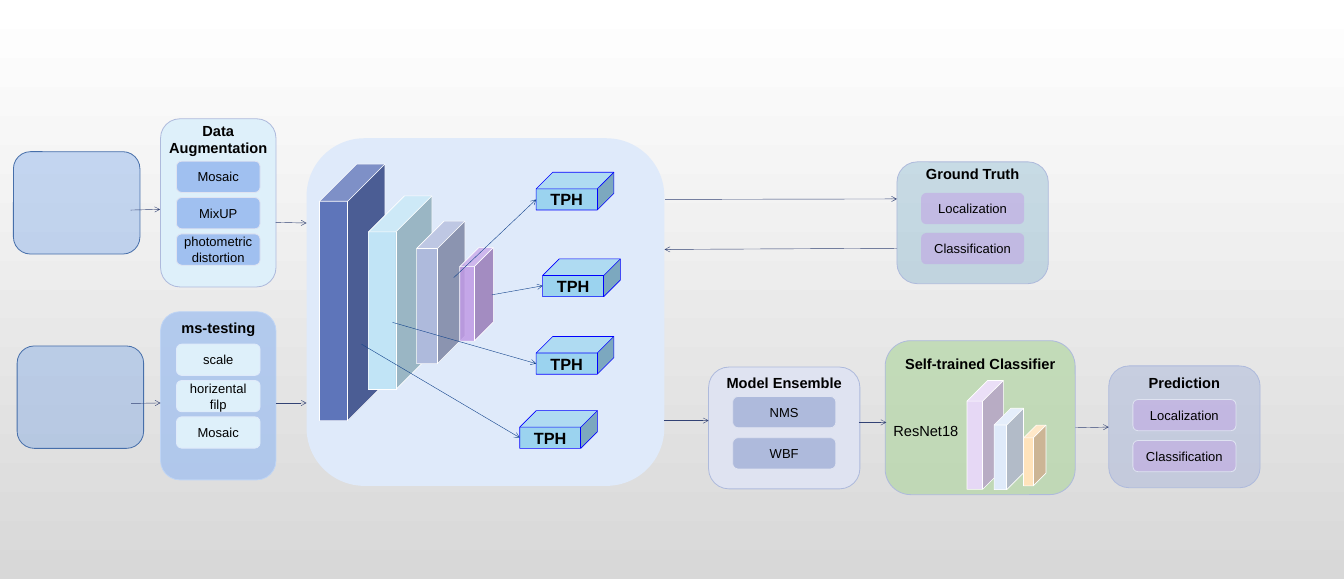
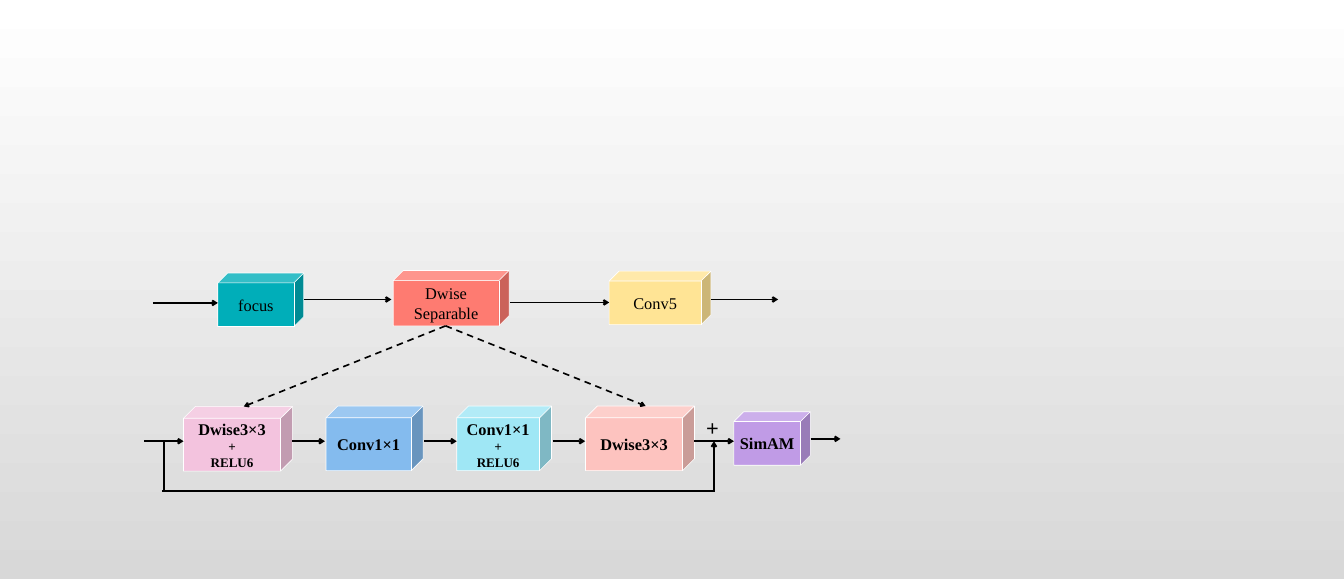
import pptx
import pptx.util
import pptx.dml.color
import pptx.enum.dml
import pptx.enum.shapes
import pptx.enum.text
import pptx.oxml.ns
from lxml import etree

Cm, Pt = pptx.util.Cm, pptx.util.Pt
SHAPE = pptx.enum.shapes.MSO_SHAPE
ANCHOR = pptx.enum.text.MSO_ANCHOR
ALIGN = pptx.enum.text.PP_ALIGN
qn = pptx.oxml.ns.qn

COLORS = {
    "white": "FFFFFF", "grey": "D8D8D8", "black": "000000",
    "input": "6096E6", "input_edge": "476FAA", "ice": "DEF0FA",
    "sky": "A0C0F0", "sky_edge": "BFD5F5", "edge": "AEBADC",
    "mist": "DFE3F1", "pale": "DFEAFA", "petrol": "046DA3",
    "green": "B6D7A8", "purple": "C09BE6", "lilac": "E6D8F5",
    "peach": "FFE3BB", "indigo": "5E75BA", "aqua": "C1E4F6",
    "tph": "9BD3EF", "tph_edge": "0000FF", "navy": "324274",
    "blue": "16468D", "teal": "00AEB9", "yellow": "FFE495",
    "rose": "FDC3BF", "cyan": "9FE7F5", "azure": "84BBEE",
    "coral": "FE7B71", "pink": "F3C3DE",
}

# Boxes are left, top, width, height in centimetres.
INPUTS = [((0.74, 14.94, 5.46, 4.42), 32), ((0.58, 6.55, 5.46, 4.42), 33)]
CHIP_H = 1.35
STEP_CHIPS = dict(first=1.83, pitch=1.57, width=3.61)
PANELS = [
    dict(box=(6.93, 5.13, 4.98, 7.26), shape=SHAPE.FLOWCHART_ALTERNATE_PROCESS,
         fill="ice", edge="edge", title=["Data", "Augmentation"], title_dy=0,
         chips=["Mosaic", "MixUP", "photometric distortion"],
         chip_fill="sky", chip_edge="mist", **STEP_CHIPS),
    dict(box=(6.93, 13.46, 4.98, 7.26), shape=SHAPE.FLOWCHART_ALTERNATE_PROCESS,
         fill="sky", alpha=74, edge="sky_edge", title=["ms-testing"], title_dy=0.2,
         chips=["scale", "horizental filp", "Mosaic"],
         chip_fill="ice", chip_edge="pale", **{**STEP_CHIPS, "first": 1.4}),
    dict(box=(38.71, 6.99, 6.53, 5.26), fill="petrol", alpha=19,
         title=["Ground Truth"], title_dy=0,
         chips=["Localization", "Classification"], first=1.34, pitch=1.73,
         chip_fill="purple", chip_alpha=48, chip_edge=None),
    dict(box=(30.58, 15.85, 6.53, 5.26), fill="mist",
         title=["Model Ensemble"], title_dy=0.18,
         chips=["NMS", "WBF"], first=1.27, pitch=1.78, chip_fill="edge"),
    dict(box=(38.2, 14.71, 8.2, 6.65), fill="green", alpha=73,
         title=["Self-trained Classifier"], title_dy=0.5, chips=[]),
    dict(box=(47.85, 15.8, 6.53, 5.26), fill="edge", alpha=54,
         title=["Prediction"], title_dy=0.23,
         chips=["Localization", "Classification"], first=1.45, pitch=1.77,
         chip_fill="purple", chip_alpha=41),
]
RESNET_LABEL = (38.2, 18.11, 3.51, 0.86)
DETECTOR = (13.23, 5.97, 15.44, 15.01)
FEATURE_MAPS = [
    ((41.73, 16.43, 1.57, 4.7), "lilac", None),
    ((42.9, 17.63, 1.27, 3.51), "pale", None),
    ((44.17, 18.36, 0.97, 2.62), "peach", None),
    ((13.79, 7.09, 2.82, 11.07), "indigo", None),
    ((15.9, 8.46, 2.74, 8.36), "aqua", None),
    ((17.98, 9.55, 2.08, 6.15), "edge", None),
    ((19.84, 10.69, 1.45, 4.04), "purple", 85),
]
TPH_SIZE = (3.35, 1.63)
TPH_HEADS = [(22.43, 17.73), (23.14, 14.53), (23.42, 11.18), (23.14, 7.44)]
FLOW_ARROWS = [
    (28.7, 8.61, 38.71, 8.59), (38.71, 10.72, 28.68, 10.77),
    (28.65, 18.16, 30.58, 18.16), (37.06, 18.24, 38.25, 18.24),
    (46.41, 18.47, 47.85, 18.44), (11.89, 9.6, 13.23, 9.63),
    (11.89, 17.4, 13.23, 17.4), (5.64, 9.07, 6.91, 9.04),
    (5.66, 17.42, 6.93, 17.4),
]
HEAD_ARROWS = [
    (21.23, 12.73, 23.42, 12.34), (19.58, 11.99, 23.14, 8.61),
    (16.94, 13.92, 23.14, 15.7), (15.6, 14.86, 22.43, 18.9),
]

# A line of text is a string, or a pair of a string and its own format.
SMALL = {"size": 16}
BLOCKS = [
    ((9.4, 11.79, 3.71, 2.31), "teal", ["focus"], False),
    ((26.29, 11.71, 4.39, 2.31), "yellow", ["Conv5"], False),
    ((16.97, 11.68, 5, 2.39), "coral", ["Dwise", "Separable"], False),
    ((7.92, 17.55, 4.7, 2.79), "pink",
     ["Dwise3×3", ("+", SMALL), ("RELU6", SMALL)], True),
    ((14.07, 17.53, 4.19, 2.79), "azure", ["Conv1×1"], True),
    ((19.71, 17.53, 4.09, 2.79), "cyan",
     ["Conv1×1", ("+", {"size": 16, "italic": True}), ("RELU6", SMALL)], True),
    ((25.27, 17.53, 4.7, 2.79), "rose", ["Dwise3×3"], True),
    ((31.67, 17.78, 3.3, 2.31), "purple", ["SimAM"], True),
]
MAIN_Y = 19.05
BLOCK_ARROWS = [
    (6.6, 13.08, 9.4, 13.08), (13.11, 12.93, 16.89, 12.93),
    (22, 13.06, 26.29, 13.06), (30.68, 12.93, 33.58, 12.93),
    (34.98, 18.95, 36.27, 18.95), (30.81, 21.23, 30.81, MAIN_Y),
] + [(x1, MAIN_Y, x2, MAIN_Y) for x1, x2 in [
    (6.22, 7.92), (12.62, 14.02), (18.31, 19.71), (23.85, 25.25), (29.97, 31.67)]]
SKIP_LINES = [(7.06, 19, 7.06, 21.2), (7.01, 21.21, 30.81, 21.21)]
EXPANSION = [(19.23, 14.07, 10.52, 17.55), (19.23, 14.07, 27.86, 17.53)]
PLUS_BOX = (30.18, 18.01, 1.3, 1.02)


def rgb(name):
    return pptx.dml.color.RGBColor.from_string(COLORS[name])


def write(sp, lines, size=17.9, font="Arial", bold=False, italic=False,
          align=ALIGN.CENTER, anchor=ANCHOR.TOP, inset=None):
    tf = sp.text_frame
    tf.word_wrap = True
    tf.vertical_anchor = anchor
    if inset is not None:
        tf.margin_left = tf.margin_right = tf.margin_top = tf.margin_bottom = Cm(inset)
    for i, line in enumerate(lines):
        text, own = (line, {}) if isinstance(line, str) else line
        p = tf.paragraphs[0] if i == 0 else tf.add_paragraph()
        p.alignment = align
        r = p.add_run()
        r.text = text
        r.font.name = font
        r.font.size = Pt(own.get("size", size))
        r.font.bold = bold
        r.font.italic = own.get("italic", italic)
        r.font.color.rgb = rgb("black")


def add_label(s, box, lines, **fmt):
    write(s.shapes.add_textbox(*map(Cm, box)), lines, **fmt)


def add_box(s, shape, box, fill, edge=None, width=1, alpha=None):
    """Preset shape; alpha is the opacity of the fill in percent."""
    sp = s.shapes.add_shape(shape, *map(Cm, box))
    sp.shadow.inherit = False
    sp.fill.solid()
    sp.fill.fore_color.rgb = rgb(fill)
    if alpha is not None:
        clr = sp._element.spPr.find(qn("a:solidFill"))[0]
        etree.SubElement(clr, qn("a:alpha")).set("val", str(alpha * 1000))
    if edge:
        sp.line.color.rgb = rgb(edge)
        sp.line.width = Pt(width)
    else:
        sp.line.fill.background()
    return sp


def add_cube(s, box, fill, depth, edge="white", alpha=None):
    sp = add_box(s, SHAPE.CUBE, box, fill, edge, 0.75, alpha)
    sp.adjustments[0] = depth
    return sp


def add_line(s, ends, color, width, arrow=True, dashed=False):
    cx = s.shapes.add_connector(pptx.enum.shapes.MSO_CONNECTOR.STRAIGHT, *map(Cm, ends))
    cx.line.color.rgb = rgb(color)
    cx.line.width = Pt(width)
    if dashed:
        cx.line.dash_style = pptx.enum.dml.MSO_LINE.DASH
    spPr = cx._element.spPr
    if arrow:
        etree.SubElement(spPr.find(qn("a:ln")), qn("a:tailEnd")).set("type", "arrow")
    etree.SubElement(spPr, qn("a:effectLst"))


def add_panel(s, box, fill, title, title_dy, chips, first=0, pitch=0, width=4.45,
              shape=SHAPE.ROUNDED_RECTANGLE, alpha=None, edge="edge",
              chip_fill=None, chip_alpha=None, chip_edge="mist"):
    """Rounded panel with a title and a column of centred chips."""
    x, y, w, h = box
    add_box(s, shape, box, fill, edge, alpha=alpha)
    add_label(s, (x, y + title_dy, w, 0.75 * (len(title) + 0.4)), title, bold=True)
    for i, chip in enumerate(chips):
        place = (x + (w - width) / 2, y + first + i * pitch, width, CHIP_H)
        sp = add_box(s, SHAPE.FLOWCHART_ALTERNATE_PROCESS, place,
                     chip_fill, chip_edge, alpha=chip_alpha)
        write(sp, [chip], size=15.9, anchor=ANCHOR.MIDDLE)


def build_pipeline(s):
    for box, alpha in INPUTS:
        add_box(s, SHAPE.FLOWCHART_ALTERNATE_PROCESS, box, "input", "input_edge", alpha=alpha)
    for panel in PANELS:
        add_panel(s, **panel)
    add_label(s, RESNET_LABEL, ["ResNet18"])
    add_box(s, SHAPE.ROUNDED_RECTANGLE, DETECTOR, "pale")
    for box, fill, alpha in FEATURE_MAPS:
        add_cube(s, box, fill, 0.568, alpha=alpha)
    for corner in TPH_HEADS:
        sp = add_cube(s, corner + TPH_SIZE, "tph", 0.439, edge="tph_edge")
        write(sp, ["TPH"], size=19.9, bold=True, anchor=ANCHOR.MIDDLE, inset=0.25)
    for ends in FLOW_ARROWS:
        add_line(s, ends, "navy", 0.5)
    for ends in HEAD_ARROWS:
        add_line(s, ends, "blue", 0.5)


def build_blocks(s):
    for box, fill, lines, bold in BLOCKS:
        sp = add_cube(s, box, fill, 0.183)
        write(sp, lines, size=20, font="Times New Roman", bold=bold,
              anchor=ANCHOR.MIDDLE, inset=0.25)
    for ends in BLOCK_ARROWS:
        add_line(s, ends, "black", 2.25)
    for ends in SKIP_LINES:
        add_line(s, ends, "black", 2.25, arrow=False)
    for ends in EXPANSION:
        add_line(s, ends, "black", 2, dashed=True)
    add_label(s, PLUS_BOX, ["＋"], size=18, font="Times New Roman", bold=True,
              align=ALIGN.LEFT)


def main():
    prs = pptx.Presentation()
    prs.slide_width, prs.slide_height = Cm(58), Cm(25)
    bg = prs.slide_master.background.fill
    bg.gradient()
    bg.gradient_angle = 270
    for stop, name in zip(bg.gradient_stops, ("white", "grey")):
        stop.color.rgb = rgb(name)
    for build in (build_pipeline, build_blocks):
        build(prs.slides.add_slide(prs.slide_layouts[6]))
    prs.save("out.pptx")


if __name__ == "__main__":
    main()
